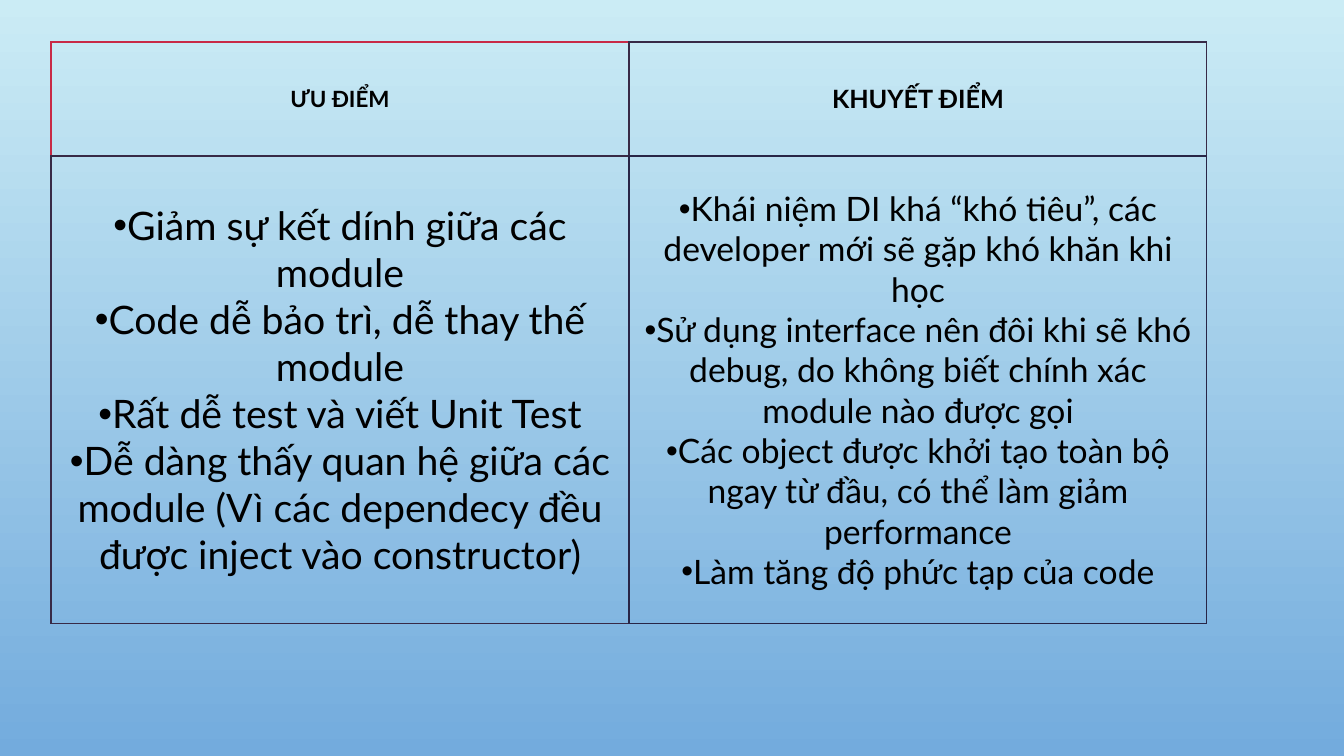
from dataclasses import dataclass

from pptx import Presentation
from pptx import util as u
from pptx.dml.color import RGBColor
from pptx.enum import text
from pptx.oxml import ns
from lxml import etree


@dataclass(frozen=True)
class Theme:
    font: str = "Lato"
    ink: str = "000000"
    sky: str = "CBECF5"
    sea: str = "73ABDD"
    red: str = "C82A46"
    plum: str = "382A46"
    navy: str = "282546"
    head: tuple[int, int] = (16, 18)
    body: tuple[int, int] = (28, 24)


@dataclass(frozen=True)
class Edge:
    color: str
    width: float = 1


@dataclass(frozen=True)
class Box:
    lines: tuple[str, ...]
    size: int
    edges: tuple[Edge, Edge, Edge, Edge]  # left, right, top, bottom
    title: bool = False


THEME = Theme()
RED, PLUM, NAVY = Edge(THEME.red), Edge(THEME.plum), Edge(THEME.navy)
THIN_PLUM, THIN_NAVY = Edge(THEME.plum, 0.75), Edge(THEME.navy, 0.75)
COL, ROWS, PAD = 578, (114, 468), 4

GRID = (
    (
        Box(("ƯU ĐIỂM",), THEME.head[0], (RED, PLUM, RED, PLUM), True),
        Box(("KHUYẾT ĐIỂM",), THEME.head[1],
            (PLUM, THIN_PLUM, PLUM, NAVY), True),
    ),
    (
        Box((
            "Giảm sự kết dính giữa các module",
            "Code dễ bảo trì, dễ thay thế module",
            "Rất dễ test và viết Unit Test",
            "Dễ dàng thấy quan hệ giữa các module (Vì các dependecy "
            "đều được inject vào constructor)",
        ), THEME.body[0], (PLUM, NAVY, PLUM, THIN_PLUM)),
        Box((
            "Khái niệm DI khá “khó tiêu”, các developer mới sẽ gặp "
            "khó khăn khi học",
            "Sử dụng interface nên đôi khi sẽ khó debug, do không biết "
            "chính xác module nào được gọi",
            "Các object được khởi tạo toàn bộ ngay từ đầu, có thể "
            "làm giảm performance",
            "Làm tăng độ phức tạp của code",
        ), THEME.body[1], (NAVY, THIN_NAVY, NAVY, THIN_NAVY)),
    ),
)


def px(count: int) -> u.Emu:
    return u.Emu(round(count * 914400 / 100.8))


def rgb(code: str) -> RGBColor:
    return RGBColor.from_string(code)


def add_edges(cell, edges: tuple[Edge, ...]) -> None:
    props = cell._tc.get_or_add_tcPr()
    for spot, (side, edge) in enumerate(zip("LRTB", edges)):
        line = etree.Element(ns.qn(f"a:ln{side}"), w=str(u.Pt(edge.width)))
        fill = etree.SubElement(line, ns.qn("a:solidFill"))
        etree.SubElement(fill, ns.qn("a:srgbClr"), val=edge.color)
        props.insert(spot, line)


def add_bullet(para) -> None:
    props = para._p.get_or_add_pPr()
    props.set("marL", "0")
    props.set("indent", "0")
    etree.SubElement(props, ns.qn("a:buFont"), typeface="Arial")
    etree.SubElement(props, ns.qn("a:buChar"), char="•")


def fill_cell(cell, box: Box) -> None:
    cell.fill.background()
    cell.vertical_anchor = text.MSO_ANCHOR.MIDDLE
    cell.margin_left = cell.margin_right = px(PAD)
    cell.margin_top = cell.margin_bottom = px(PAD)
    add_edges(cell, box.edges)
    frame = cell.text_frame
    for spot, words in enumerate(box.lines):
        para = frame.add_paragraph() if spot else frame.paragraphs[0]
        para.alignment = text.PP_ALIGN.CENTER
        if not box.title:
            add_bullet(para)
        run = para.add_run()
        run.text = words
        run.font.name = THEME.font
        run.font.size = u.Pt(box.size)
        run.font.bold = box.title
        run.font.color.rgb = rgb(THEME.ink)


def main() -> None:
    deck = Presentation()
    deck.slide_width, deck.slide_height = px(1344), px(756)
    slide = deck.slides.add_slide(deck.slide_layouts[6])

    # Sky gradient, light at the top
    fill = slide.background.fill
    fill.gradient()
    fill.gradient_angle = 270
    for stop, code in zip(fill.gradient_stops, (THEME.sky, THEME.sea)):
        stop.color.rgb = rgb(code)

    # Table of pros and cons
    table = slide.shapes.add_table(
        2, 2, px(51), px(42), px(2 * COL), px(sum(ROWS))).table
    table.first_row = table.horz_banding = False
    for col in table.columns:
        col.width = px(COL)
    for row, tall, boxes in zip(table.rows, ROWS, GRID):
        row.height = px(tall)
        for cell, box in zip(row.cells, boxes):
            fill_cell(cell, box)

    deck.save("out.pptx")


if __name__ == "__main__":
    main()
